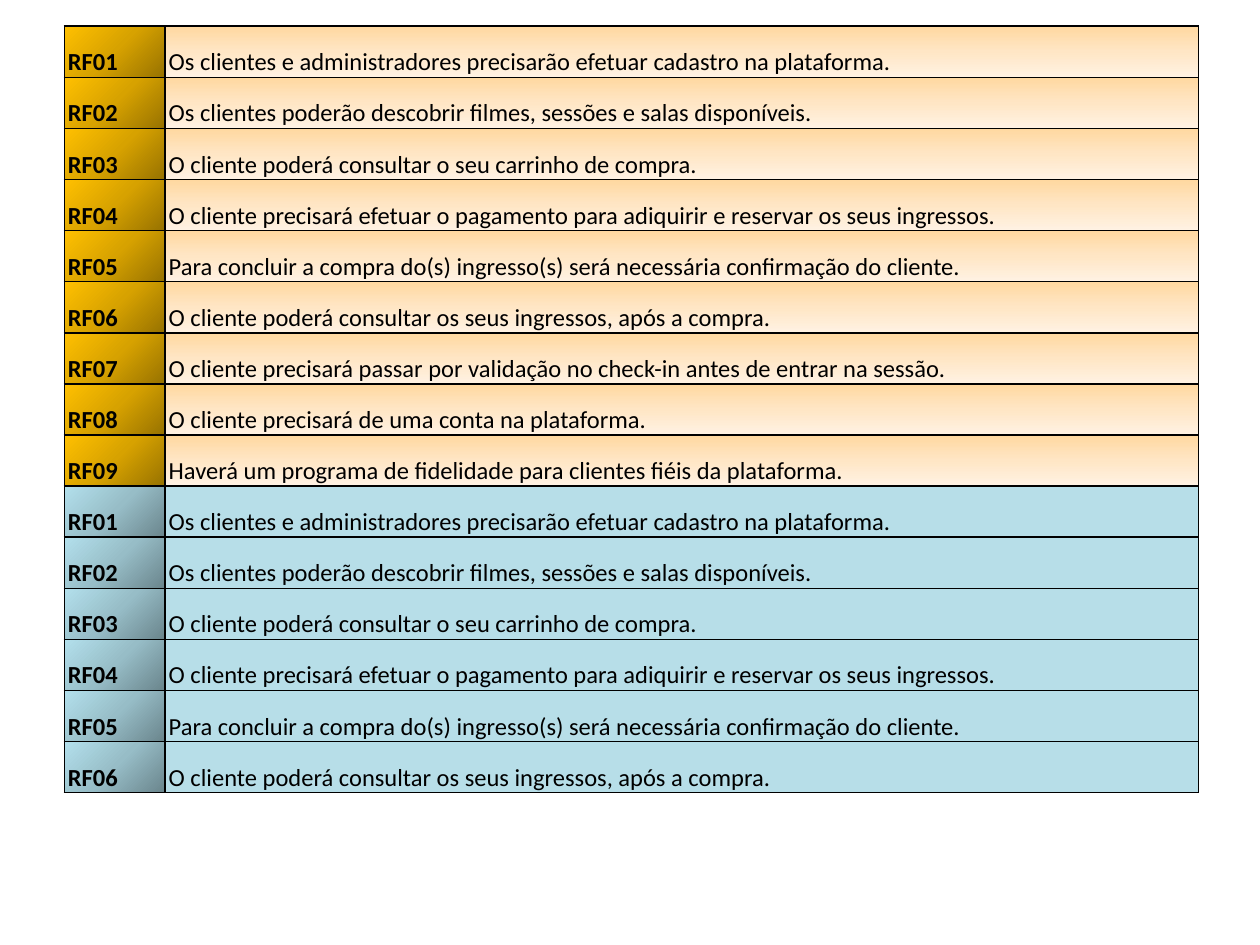
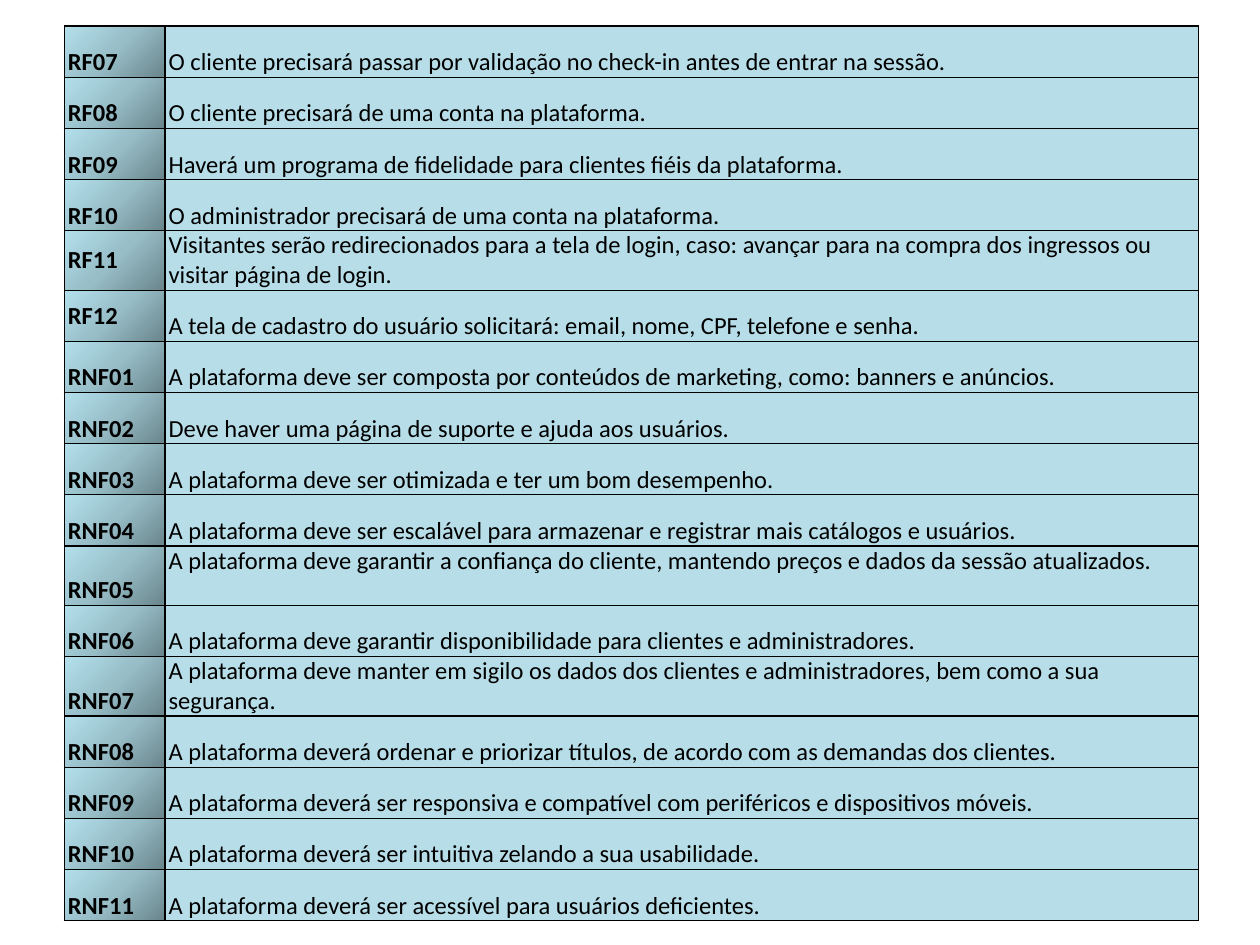
from dataclasses import dataclass

from lxml.etree import SubElement
from pptx import Presentation
from pptx.dml.color import RGBColor
from pptx.enum.text import MSO_ANCHOR
from pptx.oxml.ns import qn
from pptx.util import Pt


@dataclass(frozen=True)
class Theme:
    font: str = "Calibri"
    text_size: int = 14
    ink: str = "000000"
    border_width: int = 1
    gold: tuple = ("977200", "D7A200", "FFC000")
    peach: tuple = ("FFD8A0", "FFE6C5", "FFF2E3")
    steel: tuple = ("6A858C", "97BDC7", "B3E0EC")
    sky: str = "B7DEE8"
    code_angle: int = 225
    description_angle: int = 90


theme = Theme()


def add_borders(cell):
    properties = cell._tc.get_or_add_tcPr()
    for side in ("lnL", "lnR", "lnT", "lnB"):
        line = SubElement(properties, qn(f"a:{side}"), w=str(Pt(theme.border_width)))
        fill = SubElement(line, qn("a:solidFill"))
        SubElement(fill, qn("a:srgbClr"), val=theme.ink)


def fill_cell(cell, color, angle):
    if isinstance(color, str):
        cell.fill.solid()
        cell.fill.fore_color.rgb = RGBColor.from_string(color)
        return
    gradient = SubElement(cell._tc.get_or_add_tcPr(), qn("a:gradFill"), rotWithShape="1")
    stops = SubElement(gradient, qn("a:gsLst"))
    for index, stop_color in enumerate(color):
        stop = SubElement(stops, qn("a:gs"), pos=str(index * 50000))
        SubElement(stop, qn("a:srgbClr"), val=stop_color)
    SubElement(gradient, qn("a:lin"), ang=str(angle * 60000), scaled="0")


functional = [
    "Os clientes e administradores precisarão efetuar cadastro na plataforma.",
    "Os clientes poderão descobrir filmes, sessões e salas disponíveis.",
    "O cliente poderá consultar o seu carrinho de compra.",
    "O cliente precisará efetuar o pagamento para adiquirir e reservar os seus ingressos.",
    "Para concluir a compra do(s) ingresso(s) será necessária confirmação do cliente.",
    "O cliente poderá consultar os seus ingressos, após a compra.",
    "O cliente precisará passar por validação no check-in antes de entrar na sessão.",
    "O cliente precisará de uma conta na plataforma.",
    "Haverá um programa de fidelidade para clientes fiéis da plataforma.",
    "O administrador precisará de uma conta na plataforma.",
    "Visitantes serão redirecionados para a tela de login, caso: avançar para na compra "
    "dos ingressos ou visitar página de login.",
    "A tela de cadastro do usuário solicitará: email, nome, CPF, telefone e senha.",
]
non_functional = [
    "A plataforma deve ser composta por conteúdos de marketing, como: banners e anúncios.",
    "Deve haver uma página de suporte e ajuda aos usuários.",
    "A plataforma deve ser otimizada e ter um bom desempenho.",
    "A plataforma deve ser escalável para armazenar e registrar mais catálogos e usuários.",
    "A plataforma deve garantir a confiança do cliente, mantendo preços e dados da sessão "
    "atualizados.",
    "A plataforma deve garantir disponibilidade para clientes e administradores.",
    "A plataforma deve manter em sigilo os dados dos clientes e administradores, bem como "
    "a sua segurança.",
    "A plataforma deverá ordenar e priorizar títulos, de acordo com as demandas dos clientes.",
    "A plataforma deverá ser responsiva e compatível com periféricos e dispositivos móveis.",
    "A plataforma deverá ser intuitiva zelando a sua usabilidade.",
    "A plataforma deverá ser acessível para usuários deficientes.",
]

requirements = []
for prefix, descriptions, code_fill, description_fill in (
    ("RF", functional[:9], theme.gold, theme.peach),
    ("RF", functional, theme.steel, theme.sky),
    ("RNF", non_functional, theme.steel, theme.sky),
):
    for number, description in enumerate(descriptions, start=1):
        requirements.append((f"{prefix}{number:02}", description, code_fill, description_fill))

first_slide_rows = 15
row_height, tall_row_height = Pt(29.2), Pt(34.1)
column_widths = (Pt(57.6), Pt(590.4))
tall_codes = {"RF11", "RNF05", "RNF07"}
anchors = {
    ("RF11", 0): MSO_ANCHOR.MIDDLE,
    ("RF12", 0): MSO_ANCHOR.MIDDLE,
    ("RNF05", 1): MSO_ANCHOR.TOP,
}

presentation = Presentation()
presentation.slide_width = Pt(720)
presentation.slide_height = Pt(540)

for page in (requirements[:first_slide_rows], requirements[first_slide_rows:]):
    slide = presentation.slides.add_slide(presentation.slide_layouts[6])
    table = slide.shapes.add_table(
        len(page), 2, Pt(36.8), Pt(15), sum(column_widths), row_height * len(page)
    ).table
    table.first_row = False
    table.horz_banding = False
    for column, width in zip(table.columns, column_widths):
        column.width = width
    for row, (code, description, code_fill, description_fill) in zip(table.rows, page):
        row.height = tall_row_height if code in tall_codes else row_height
        contents = (
            (code, code_fill, theme.code_angle),
            (description, description_fill, theme.description_angle),
        )
        for index, (text, color, angle) in enumerate(contents):
            cell = row.cells[index]
            cell.margin_left = cell.margin_right = Pt(2)
            cell.margin_top = cell.margin_bottom = Pt(0)
            cell.vertical_anchor = anchors.get((code, index), MSO_ANCHOR.BOTTOM)
            add_borders(cell)
            fill_cell(cell, color, angle)
            cell.text_frame.text = text
            font = cell.text_frame.paragraphs[0].runs[0].font
            font.name = theme.font
            font.size = Pt(theme.text_size)
            font.bold = index == 0
            font.color.rgb = RGBColor.from_string(theme.ink)

presentation.save("out.pptx")
